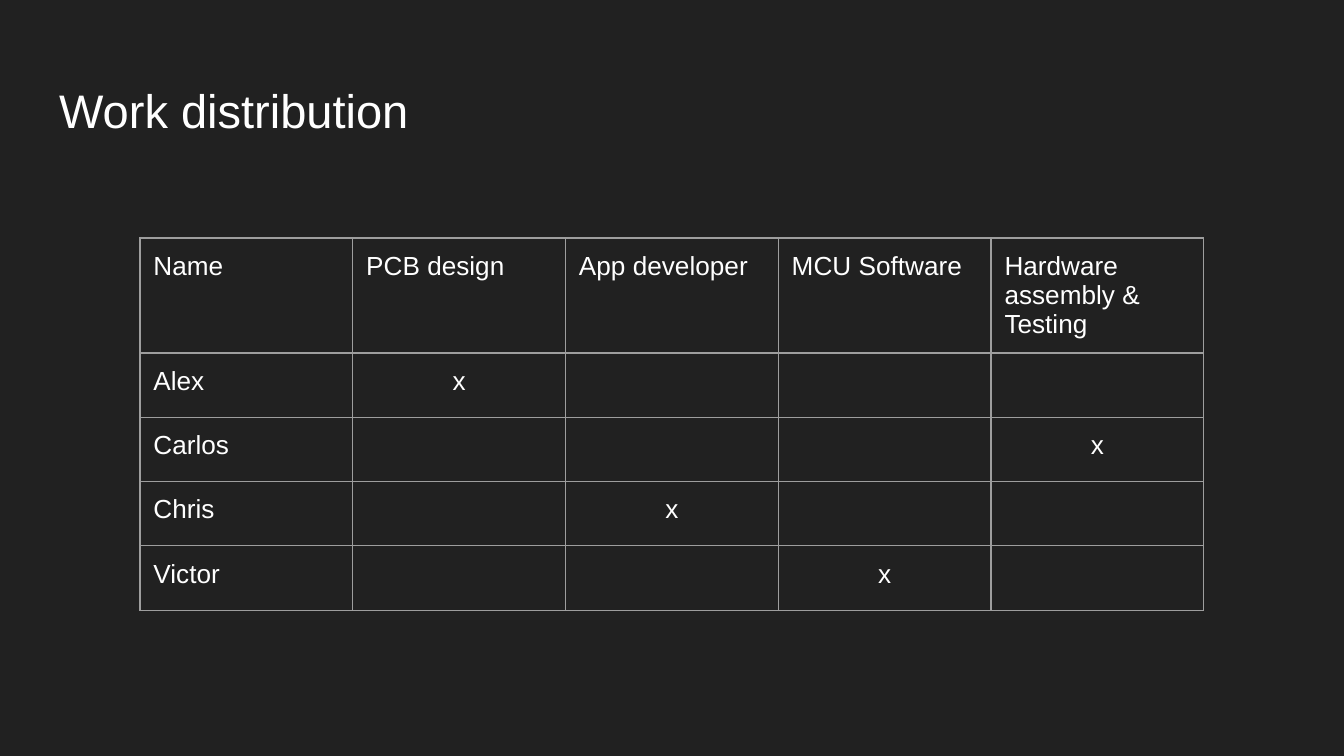
from typing import NamedTuple

from lxml.etree import SubElement
from pptx import Presentation
from pptx.dml.color import RGBColor
from pptx.enum.text import MSO_ANCHOR, PP_ALIGN
from pptx.oxml.ns import qn
from pptx.util import Pt

BACKGROUND = RGBColor(0x21, 0x21, 0x21)
WHITE = RGBColor(0xFF, 0xFF, 0xFF)
BORDER = RGBColor(0x9E, 0x9E, 0x9E)
FONT = "Arial"
INSET = Pt(7.2)
CELL_SIZE = 14
COLUMN_WIDTH = Pt(114)
HEADER_HEIGHT = Pt(61.6)
ROW_HEIGHT = Pt(34.45)


class Member(NamedTuple):
    name: str
    task: str


TASKS = ["PCB design", "App developer", "MCU Software", "Hardware assembly & Testing"]
MEMBERS = [
    Member("Alex", "PCB design"),
    Member("Carlos", "Hardware assembly & Testing"),
    Member("Chris", "App developer"),
    Member("Victor", "MCU Software"),
]


def set_insets(target) -> None:
    target.margin_left = target.margin_right = INSET
    target.margin_top = target.margin_bottom = INSET


def add_run(p, text: str, size: float) -> None:
    r = p.add_run()
    r.text = text
    r.font.name = FONT
    r.font.size = Pt(size)
    r.font.color.rgb = WHITE


def set_borders(cell) -> None:
    tc_pr = cell._tc.get_or_add_tcPr()
    for i, side in enumerate(("a:lnL", "a:lnR", "a:lnT", "a:lnB")):
        ln = SubElement(tc_pr, qn(side), w=str(Pt(0.75)))
        fill = SubElement(ln, qn("a:solidFill"))
        SubElement(fill, qn("a:srgbClr"), val=str(BORDER))
        tc_pr.insert(i, ln)


def fill_cell(cell, text: str) -> None:
    set_insets(cell)
    cell.fill.background()
    set_borders(cell)
    p = cell.text_frame.paragraphs[0]
    if text:
        add_run(p, text, CELL_SIZE)
    else:
        end = SubElement(p._p, qn("a:endParaRPr"), sz=str(CELL_SIZE * 100))
        SubElement(end, qn("a:latin"), typeface=FONT)
    if text == "x":
        p.alignment = PP_ALIGN.CENTER


def add_title(s, text: str) -> None:
    sp = s.shapes.title
    sp.left, sp.top, sp.width, sp.height = Pt(24.5), Pt(36), Pt(671), Pt(45.4)
    tf = sp.text_frame
    tf.word_wrap = True
    tf.vertical_anchor = MSO_ANCHOR.MIDDLE
    set_insets(tf)
    p = tf.paragraphs[0]
    p.alignment = PP_ALIGN.LEFT
    add_run(p, text, 25.2)


def add_work_table(s, members: list[Member]) -> None:
    rows = [["Name", *TASKS]]
    for m in members:
        rows.append([m.name, *("x" if task == m.task else "" for task in TASKS)])
    columns = len(rows[0])
    height = HEADER_HEIGHT + ROW_HEIGHT * len(members)
    table = s.shapes.add_table(
        len(rows), columns, Pt(75), Pt(127.5), COLUMN_WIDTH * columns, height
    ).table
    table.first_row = False
    table.horz_banding = False
    for column in table.columns:
        column.width = COLUMN_WIDTH
    for i, row in enumerate(rows):
        table.rows[i].height = ROW_HEIGHT if i else HEADER_HEIGHT
        for j, text in enumerate(row):
            fill_cell(table.cell(i, j), text)


def main() -> None:
    prs = Presentation()
    prs.slide_width, prs.slide_height = Pt(720), Pt(405)
    s = prs.slides.add_slide(prs.slide_layouts[5])
    s.background.fill.solid()
    s.background.fill.fore_color.rgb = BACKGROUND
    add_title(s, "Work distribution")
    add_work_table(s, MEMBERS)
    prs.save("out.pptx")


if __name__ == "__main__":
    main()
